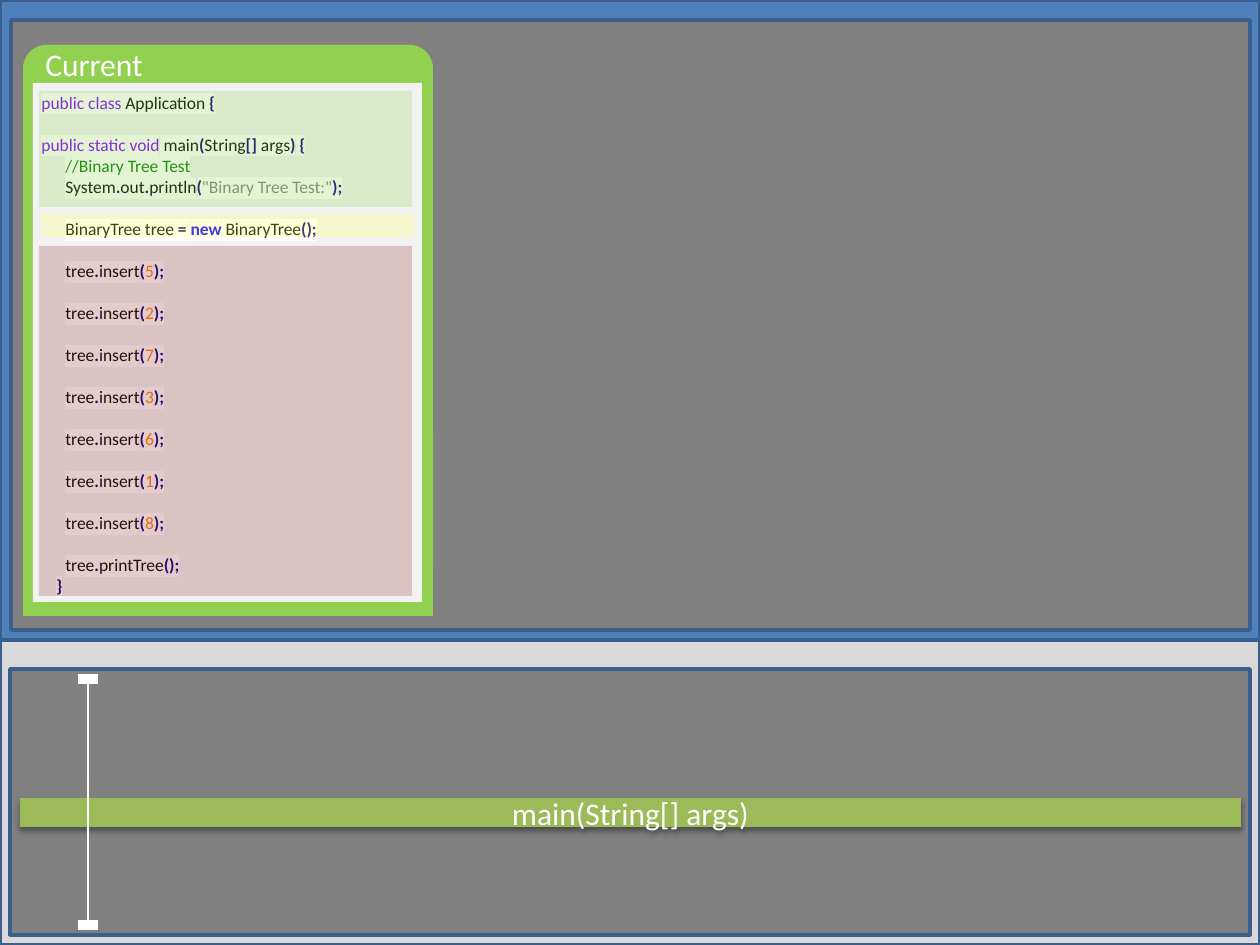
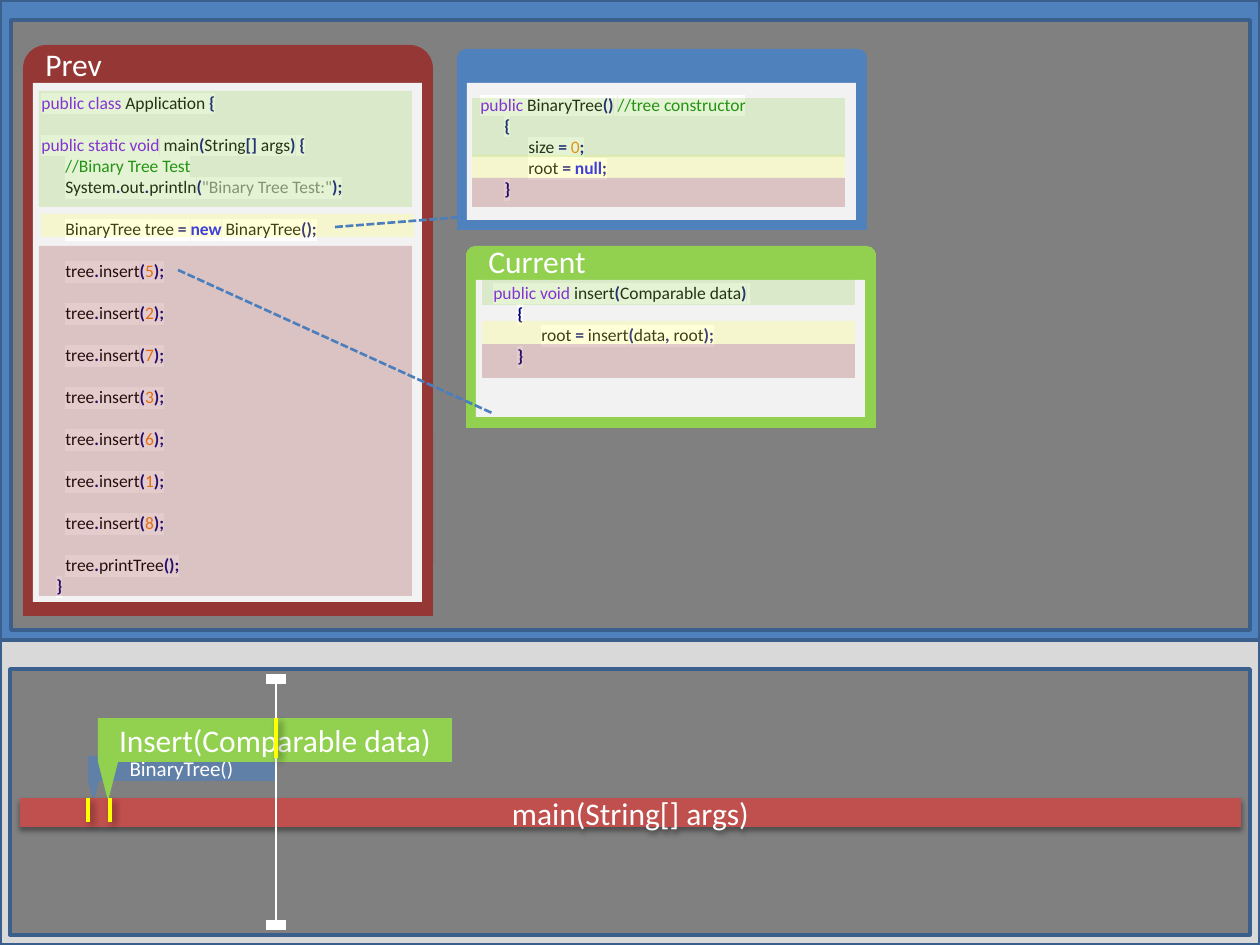
from dataclasses import dataclass
from itertools import groupby

from lxml.etree import SubElement
from pptx import Presentation
from pptx.dml.color import RGBColor
from pptx.enum.dml import MSO_LINE_DASH_STYLE as Dash
from pptx.enum.shapes import MSO_CONNECTOR_TYPE as Connector
from pptx.enum.shapes import MSO_AUTO_SHAPE_TYPE as Preset
from pptx.enum.text import MSO_ANCHOR as Anchor
from pptx.enum.text import PP_ALIGN as Align
from pptx.oxml.ns import qn
from pptx.util import Pt

# Scale: 126 px to the inch
EMU_PER_PX = 914400 / 126
SLIDE_WIDTH, SLIDE_HEIGHT = 1260, 945

# Colours
WHITE = RGBColor(0xFF, 0xFF, 0xFF)
BLACK = RGBColor(0x00, 0x00, 0x00)
PAGE = RGBColor(0xF2, 0xF2, 0xF2)
LIGHT_GREY = RGBColor(0xD9, 0xD9, 0xD9)
GREY = RGBColor(0x80, 0x80, 0x80)
BLUE = RGBColor(0x4F, 0x81, 0xBD)
FRAME_BLUE = RGBColor(0x3A, 0x5F, 0x8C)
LINK_BLUE = RGBColor(0x4B, 0x7E, 0xBC)
GREEN = RGBColor(0x92, 0xD0, 0x50)
OLIVE = RGBColor(0x9B, 0xBB, 0x59)
MAROON = RGBColor(0x95, 0x37, 0x35)
RED = RGBColor(0xC0, 0x50, 0x4D)
PALE_YELLOW = RGBColor(0xFF, 0xFF, 0x66)
YELLOW = RGBColor(0xFF, 0xFF, 0x00)

# Syntax colours
KEYWORD = RGBColor(0x80, 0x00, 0xFF)
LITERAL_WORD = RGBColor(0x00, 0x00, 0xFF)
OPERATOR = RGBColor(0x00, 0x00, 0x80)
NUMBER = RGBColor(0xFF, 0x80, 0x00)
COMMENT = RGBColor(0x00, 0x80, 0x00)
KEYWORDS = {"public", "class", "static", "void"}
LITERAL_WORDS = {"new", "null"}

FONT = "Calibri"
TITLE_SIZE, CODE_SIZE, CODE_GAP = Pt(18), Pt(10), Pt(12)
BAR_SHADOW = {"alpha": 38, "blur": 3.1, "distance": 1.6, "angle": 90}
TICK_SHADOW = {"alpha": 40, "blur": 4, "distance": 3, "angle": 45}

# Code listings; an empty line becomes a gap before the next one
INSERTS = [line for key in (5, 2, 7, 3, 6, 1, 8)
           for line in (f"\t\ttree.insert({key});", "")]
APPLICATION_CODE = [
    "public class Application {", "",
    "public static void main(String[] args) {",
    "\t\t//Binary Tree Test",
    '\t\tSystem.out.println("Binary Tree Test:");', "",
    "\t\tBinaryTree tree = new BinaryTree();", "",
    *INSERTS,
    "\t\ttree.printTree();",
    "\t}",
]
CONSTRUCTOR_CODE = [
    "public BinaryTree() //tree constructor",
    "\t{", "\t\tsize = 0;", "\t\troot = null;", "\t}",
]
INSERT_CODE = [
    "public void insert(Comparable data) ",
    "\t{", "\t\troot = insert(data, root);", "\t}",
]


@dataclass
class Box:
    left: int
    top: int
    width: int
    height: int

    def inner(self, left, top, width, height):
        return Box(self.left + left, self.top + top, width, height)

    def emu(self):
        return [px(v) for v in (self.left, self.top, self.width, self.height)]


def px(value):
    return round(value * EMU_PER_PX)


def set_values(target, values):
    for name, value in values.items():
        setattr(target, name, value)


def set_alpha(color_element, percent):
    SubElement(color_element, qn("a:alpha")).set("val", str(percent * 1000))


def add_effects(shape, shadow=None):
    """Replace the theme shadow by the given one, or by none."""
    effects = SubElement(shape._element.spPr, qn("a:effectLst"))
    if shadow:
        outer = SubElement(effects, qn("a:outerShdw"), {
            "blurRad": str(Pt(shadow["blur"])),
            "dist": str(Pt(shadow["distance"])),
            "dir": str(shadow["angle"] * 60000),
            "rotWithShape": "0"})
        set_alpha(SubElement(outer, qn("a:srgbClr"), {"val": str(BLACK)}), shadow["alpha"])


def add_block(slide, box, color, preset=Preset.RECTANGLE, alpha=None,
              outline=None, shadow=None):
    shape = slide.shapes.add_shape(preset, *box.emu())
    shape.fill.solid()
    shape.fill.fore_color.rgb = color
    if alpha:
        set_alpha(shape._element.spPr.find(qn("a:solidFill"))[0], alpha)
    if outline:
        shape.line.color.rgb = outline
        shape.line.width = Pt(2)
    else:
        shape.line.fill.background()
    add_effects(shape, shadow)
    return shape


def add_line(slide, start, end, color, width, dash=None, shadow=None):
    points = [px(value) for value in (*start, *end)]
    line = slide.shapes.add_connector(Connector.STRAIGHT, *points)
    line.line.color.rgb = color
    set_values(line.line, {"width": Pt(width), "dash_style": dash})
    add_effects(line, shadow)


def add_run(paragraph, text, color, size, bold=None):
    run = paragraph.add_run()
    run.text = text
    set_values(run.font, {"name": FONT, "size": size, "bold": bold})
    run.font.color.rgb = color
    return run


def add_label(shape, text, size=TITLE_SIZE):
    set_values(shape.text_frame, {
        "vertical_anchor": Anchor.MIDDLE, "word_wrap": True,
        "margin_top": 0, "margin_bottom": 0})
    paragraph = shape.text_frame.paragraphs[0]
    paragraph.alignment = Align.CENTER
    add_run(paragraph, text, WHITE, size)


def add_text_frame(slide, box):
    frame = slide.shapes.add_textbox(*box.emu()).text_frame
    frame.word_wrap = True
    return frame


# Syntax colouring
def char_kind(char):
    if char.isspace():
        return "space"
    return "word" if char.isalnum() else "operator"


def code_tokens(line):
    """Yield (text, colour, bold) for each token of a line."""
    code, slashes, comment = line.partition("//")
    for index, part in enumerate(code.split('"')):
        if index % 2:
            yield f'"{part}"', GREY, False
            continue
        for kind, chars in groupby(part, char_kind):
            text = "".join(chars)
            if kind == "operator":
                yield text, OPERATOR, True
            elif text in LITERAL_WORDS:
                yield text, LITERAL_WORD, True
            elif text in KEYWORDS:
                yield text, KEYWORD, False
            else:
                yield text, NUMBER if text.isdigit() else BLACK, False
    if slashes:
        yield slashes + comment, COMMENT, False


def add_code(slide, box, lines, tab_stops):
    frame = add_text_frame(slide, box)
    paragraph, gap = frame.paragraphs[0], False
    for index, line in enumerate(lines):
        if not line:
            gap = True
            continue
        if index:
            paragraph = frame.add_paragraph()
        if gap:
            paragraph.space_before = CODE_GAP
            gap = False
        tabs = SubElement(paragraph._p.get_or_add_pPr(), qn("a:tabLst"))
        for stop in tab_stops:
            SubElement(tabs, qn("a:tab"), {"pos": str(px(stop)), "algn": "l"})
        for (color, bold), tokens in groupby(code_tokens(line), lambda token: token[1:]):
            text = "".join(token[0] for token in tokens)
            run = add_run(paragraph, text, color, CODE_SIZE, bold)
            highlight = run._r.rPr.makeelement(qn("a:highlight"))
            SubElement(highlight, qn("a:srgbClr"), {"val": str(WHITE)})
            run._r.rPr.find(qn("a:solidFill")).addnext(highlight)


# Regions
def draw_background(slide):
    for box, color in (
            (Box(0, 640, SLIDE_WIDTH, 305), LIGHT_GREY),
            (Box(0, 0, SLIDE_WIDTH, 640), BLUE),
            (Box(10, 669, 1240, 266), GREY),
            (Box(11, 20, 1239, 610), GREY)):
        add_block(slide, box, color, outline=FRAME_BLUE)


def draw_code_panel(slide, box, color, title, header, footer, code, code_offset,
                    bands, tab_stops=(24, 48)):
    """Panel with a title, a code page and see-through progress bands."""
    cap = add_block(slide, box.inner(0, 0, box.width, box.height * 10 // 11), color,
                    Preset.ROUND_2_SAME_RECTANGLE)
    cap.adjustments[0] = 0.057
    base_top = box.height // 24
    add_block(slide, box.inner(0, base_top, box.width, box.height - base_top), color)
    page = box.inner(10, header, box.width - 21, box.height - header - footer)
    add_block(slide, page, PAGE)
    if title:
        frame = add_text_frame(slide, page.inner(0, -44, 200, 50))
        add_run(frame.paragraphs[0], title, WHITE, TITLE_SIZE)
    add_code(slide, page.inner(*code_offset, page.width - 10, page.height), code, tab_stops)
    for band_color, left, top, height in bands:
        add_block(slide, page.inner(left, top, 373, height), band_color, alpha=25)


def draw_application_panel(slide, color, title):
    draw_code_panel(
        slide, Box(23, 45, 410, 571), color, title, 38, 14, APPLICATION_CODE, (-4, 3),
        [(PALE_YELLOW, 8, 131, 23), (GREEN, 6, 8, 116), (MAROON, 6, 163, 350)],
        tab_stops=(15, 24))


def draw_main_bar(slide, color):
    bar = add_block(slide, Box(20, 798, 1221, 29), color, shadow=BAR_SHADOW)
    add_label(bar, "main(String[] args)")


def draw_callout(slide, box, pointer_width, color, text, size, alpha=None):
    pointer_box = box.inner(0, box.height, pointer_width, 801 - box.top - box.height)
    pointer = add_block(slide, pointer_box, color, Preset.ISOSCELES_TRIANGLE, alpha)
    pointer.rotation = 180
    add_label(add_block(slide, box, color, alpha=alpha), text, size)


def draw_time_cursor(slide, x):
    top, bottom = 679, 925
    add_line(slide, (x, top), (x, bottom), WHITE, 1)
    for y in (top, bottom):
        add_line(slide, (x - 10, y), (x + 10, y), WHITE, 6)


def draw_tick(slide, x, top, height):
    add_line(slide, (x, top), (x, top + height), YELLOW, 2.25, shadow=TICK_SHADOW)


# Slides
def build_start_slide(slide):
    draw_background(slide)
    draw_application_panel(slide, GREEN, "Current")
    draw_main_bar(slide, OLIVE)
    draw_time_cursor(slide, 88)


def build_insert_slide(slide):
    draw_background(slide)
    draw_application_panel(slide, MAROON, "Prev")
    draw_code_panel(
        slide, Box(457, 49, 410, 181), BLUE, None, 34, 10, CONSTRUCTOR_CODE, (1, 5),
        [(PALE_YELLOW, 5, 72, 23), (MAROON, 5, 95, 29), (GREEN, 5, 15, 59)])
    draw_code_panel(
        slide, Box(466, 246, 410, 182), GREEN, "Current", 34, 11, INSERT_CODE, (5, -4),
        [(PALE_YELLOW, 6, 41, 23), (MAROON, 6, 64, 34), (GREEN, 6, -4, 29)])
    # Links from each call to its method
    for start, end in (((335, 227), (462, 217)), ((178, 270), (492, 413))):
        add_line(slide, start, end, LINK_BLUE, 1.5, Dash.SQUARE_DOT)
    # Call timeline
    draw_callout(slide, Box(88, 756, 187, 25), 11, BLUE, "BinaryTree()", Pt(12), alpha=65)
    draw_callout(slide, Box(98, 718, 354, 44), 20, GREEN, "Insert(Comparable data)", TITLE_SIZE)
    draw_main_bar(slide, RED)
    for x in (88, 110):
        draw_tick(slide, x, 798, 24)
    draw_time_cursor(slide, 276)
    draw_tick(slide, 276, 718, 40)


def main():
    presentation = Presentation()
    set_values(presentation, {"slide_width": px(SLIDE_WIDTH), "slide_height": px(SLIDE_HEIGHT)})
    for build in (build_start_slide, build_insert_slide):
        build(presentation.slides.add_slide(presentation.slide_layouts[6]))
    presentation.save("out.pptx")


if __name__ == "__main__":
    main()
